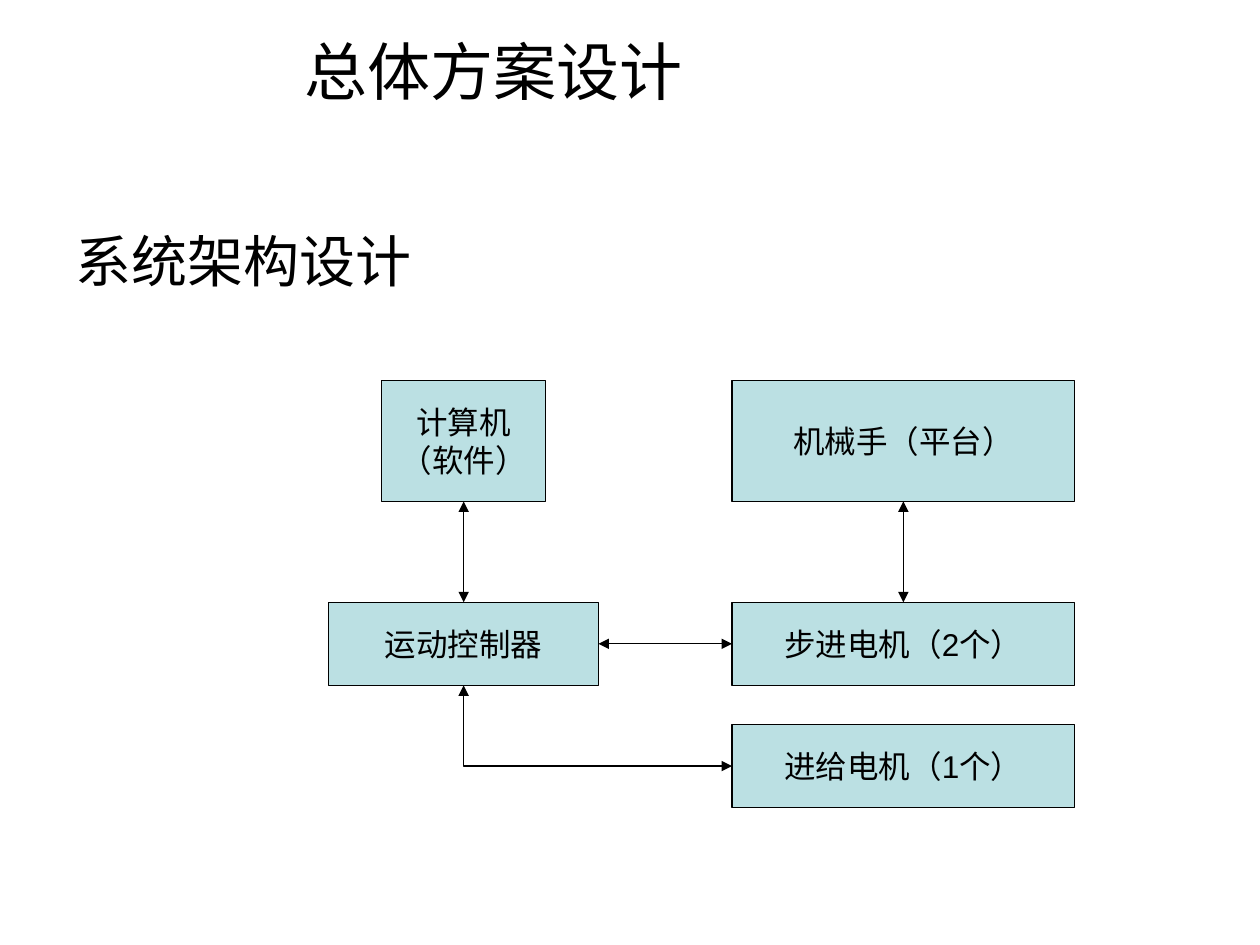
from lxml.etree import SubElement
from pptx import Presentation
from pptx.dml.color import RGBColor
from pptx.enum.shapes import MSO_CONNECTOR as Link, MSO_SHAPE as Preset
from pptx.enum.text import MSO_ANCHOR as Anchor, PP_ALIGN as Align
from pptx.oxml.ns import qn
from pptx.util import Inches, Pt

COLUMNS, ROWS = 100, 75
BLACK, PALE_TEAL = "000000", "BBE0E3"
TOP, LEFT, BOTTOM, RIGHT = 0, 1, 2, 3

deck = Presentation()
deck.slide_width, deck.slide_height = Inches(10), Inches(7.5)
CELL_W, CELL_H = deck.slide_width / COLUMNS, deck.slide_height / ROWS


def grid(column, row, columns, rows):
    """Turn a box in grid cells into slide lengths."""
    return (round(column * CELL_W), round(row * CELL_H),
            round(columns * CELL_W), round(rows * CELL_H))


def colour(hex_string):
    return RGBColor.from_string(hex_string)


def write(frame, text, size, font="Arial", align=Align.LEFT):
    frame.text = text
    for paragraph in frame.paragraphs:
        paragraph.alignment = align
        for run in paragraph.runs:
            run.font.size, run.font.name = Pt(size), font
            run.font.color.rgb = colour(BLACK)


def add_heading(slide, box):
    title = slide.shapes.title
    title.left, title.top, title.width, title.height = grid(*box)
    title.text_frame.vertical_anchor = Anchor.MIDDLE
    write(title.text_frame, "总体方案设计", 36, "Quicksand")


def add_bullet(slide, box):
    topic = slide.shapes.add_textbox(*grid(*box)).text_frame
    topic.word_wrap = True
    properties = topic.paragraphs[0]._p.get_or_add_pPr()
    indent = Inches(0.38)
    properties.set("marL", str(indent))
    properties.set("indent", str(-indent))
    SubElement(properties, qn("a:buFont"), typeface="Arial")
    SubElement(properties, qn("a:buChar"), char="•")
    write(topic, "系统架构设计", 32)


def add_block(slide, text, box):
    block = slide.shapes.add_shape(Preset.RECTANGLE, *grid(*box))
    block.shadow.inherit = False
    block.fill.solid()
    block.fill.fore_color.rgb = colour(PALE_TEAL)
    block.line.color.rgb = colour(BLACK)
    block.line.width = Pt(0.75)
    block.text_frame.word_wrap = False
    block.text_frame.vertical_anchor = Anchor.MIDDLE
    write(block.text_frame, text, 18, align=Align.CENTER)
    return block


def style_link(link):
    """Thin black line with an arrowhead at both ends and no shadow."""
    link.line.color.rgb = colour(BLACK)
    link.line.width = Pt(0.75)
    outline = link.line._get_or_add_ln()
    for end in ("a:headEnd", "a:tailEnd"):
        SubElement(outline, qn(end), type="triangle")
    SubElement(link._element.spPr, qn("a:effectLst"))


def join(slide, start, start_side, end, end_side):
    link = slide.shapes.add_connector(Link.STRAIGHT, 0, 0, 0, 0)
    link.begin_connect(start, start_side)
    link.end_connect(end, end_side)
    style_link(link)


def join_by_corner(slide, upper, lower):
    """Run down from the bottom of one block, then right to the side of another."""
    x, y = upper.left + upper.width // 2, upper.top + upper.height
    across = lower.left - x
    down = lower.top + lower.height // 2 - y
    middle_x, middle_y = x + across // 2, y + down // 2
    # A one-corner elbow, mirrored and turned a quarter to the left
    link = slide.shapes.add_connector(
        Link.ELBOW, middle_x + down // 2, middle_y - across // 2,
        middle_x - down // 2, middle_y + across // 2)
    link._element.spPr.find(qn("a:prstGeom")).set("prst", "bentConnector2")
    link._element.spPr.find(qn("a:xfrm")).set("rot", str(270 * 60000))
    style_link(link)


def add_architecture(slide, box):
    column, row, columns, rows = box
    tall, low = 9.6, 6.6
    control_w, computer_w, machine_w = 21.4, 13, 27.2
    control_row = row + 17.6
    machine_column = column + columns - machine_w

    computer = add_block(slide, "计算机\n（软件）", (
        column + (control_w - computer_w) / 2, row, computer_w, tall))
    controller = add_block(slide, "运动控制器", (column, control_row, control_w, low))
    manipulator, stepper, feeder = [
        add_block(slide, text, (machine_column, top, machine_w, height))
        for text, top, height in (
            ("机械手（平台）", row, tall),
            ("步进电机（2个）", control_row, low),
            ("进给电机（1个）", row + rows - low, low))]

    join(slide, controller, TOP, computer, BOTTOM)
    join(slide, stepper, TOP, manipulator, BOTTOM)
    join(slide, controller, RIGHT, stepper, LEFT)
    join_by_corner(slide, controller, feeder)


def main():
    slide = deck.slides.add_slide(deck.slide_layouts[5])
    add_heading(slide, (23.2, 2.1, 74.8, 7))
    add_bullet(slide, (5, 17.5, 90, 49.5))
    add_architecture(slide, (26.1, 30.2, 59.2, 33.9))
    deck.save("out.pptx")


if __name__ == "__main__":
    main()
